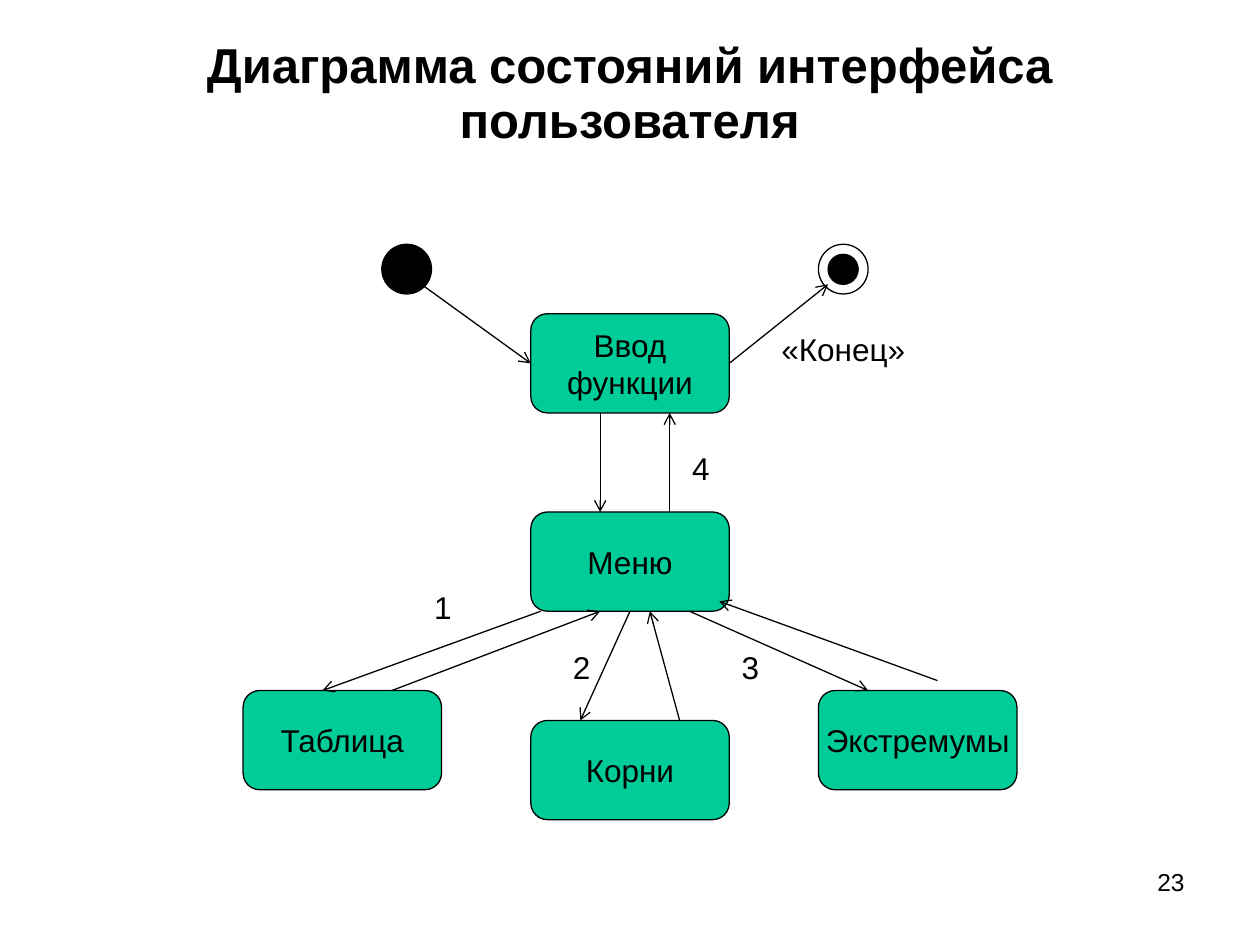
"""Build the state diagram slide of a user interface."""
from pptx import Presentation
from pptx.dml.color import RGBColor
from pptx.enum import shapes as kinds, text as txt
from pptx.oxml.ns import qn
from pptx.util import Pt
from lxml import etree

BLACK = RGBColor(0, 0, 0)
GREEN = RGBColor(0x00, 0xCC, 0x99)
LEFT, MID, RIGHT = txt.PP_ALIGN.LEFT, txt.PP_ALIGN.CENTER, txt.PP_ALIGN.RIGHT
ROUND, OVAL = kinds.MSO_SHAPE.ROUNDED_RECTANGLE, kinds.MSO_SHAPE.OVAL
WIDE, HIGH = 113.4, 56.7

TITLE = "Диаграмма состояний интерфейса\vпользователя"
STATES = {
    "input": ("Ввод\nфункции", 303.3, 179.3),
    "menu": ("Меню", 303.3, 292.6),
    "table": ("Таблица", 138.9, 394.6),
    "roots": ("Корни", 303.3, 411.7),
    "peaks": ("Экстремумы", 467.7, 394.6),
}
DOTS = {
    "start": (218.2, 139.6, 28.4, BLACK),
    "ring": (467.7, 139.6, 28.4, None),
    "end": (473.2, 145.3, 17.2, BLACK),
}
ARROWS = [
    ("start", 0.83, 0.83, "input", 0, 0.5),
    ("input", 1, 0.5, "end", 0, 1),
    ("input", 0.35, 1, "menu", 0.35, 0),
    ("menu", 0.7, 0, "input", 0.7, 1),
    ("menu", 0.05, 1, "table", 0.4, 0),
    ("table", 0.75, 0, "menu", 0.35, 1),
    ("menu", 0.5, 1, "roots", 0.25, 0),
    ("roots", 0.75, 0, "menu", 0.6, 1),
    ("menu", 0.8, 1, "peaks", 0.25, 0),
    ("peaks", 0.6, -0.1, "menu", 0.95, 0.9),
]
LABELS = [
    ("1", 241, 332.4, 17.3),
    ("2", 320.3, 366.5, 17.3),
    ("3", 416.7, 366.5, 17.3),
    ("4", 388.4, 252.9, 28.3),
    ("«Конец»", 439.4, 185, 96.4),
]


def write(shape, words, size, align, bold=False, wrap=True):
    frame = shape.text_frame
    frame.text = words
    frame.word_wrap = wrap
    for para in frame.paragraphs:
        para.alignment = align
        for run in para.runs:
            font = run.font
            font.name, font.size, font.bold = "Arial", Pt(size), bold
            font.color.rgb = BLACK
    return frame


def box(slide, words, place, size, align, bold=False):
    shape = slide.shapes.add_textbox(*map(Pt, place))
    return write(shape, words, size, align, bold)


def draw(slide, kind, place, fill):
    shape = slide.shapes.add_shape(kind, *map(Pt, place))
    shape.shadow.inherit = False
    if fill is None:
        shape.fill.background()
    else:
        shape.fill.solid()
        shape.fill.fore_color.rgb = fill
    shape.line.color.rgb = BLACK
    shape.line.width = Pt(0.75)
    return shape


def link(slide, start, end):
    line = slide.shapes.add_connector(
        kinds.MSO_CONNECTOR.STRAIGHT, *map(Pt, start + end))
    line.line.color.rgb = BLACK
    line.line.width = Pt(0.75)
    etree.SubElement(line.line._get_or_add_ln(), qn("a:tailEnd"), type="arrow")
    etree.SubElement(line._element.spPr, qn("a:effectLst"))


def main():
    deck = Presentation()
    deck.slide_width, deck.slide_height = Pt(720), Pt(540)
    slide = deck.slides.add_slide(deck.slide_layouts[6])

    box(slide, "23", (516, 491.8, 168, 37.4), 14, RIGHT)
    head = box(slide, TITLE, (19.6, 20, 680.4, 68.4), 28, MID, True)
    head.vertical_anchor = txt.MSO_ANCHOR.MIDDLE
    head.paragraphs[0].line_spacing = 0.93

    areas = {}
    for name, (words, x, y) in STATES.items():
        areas[name] = (x, y, WIDE, HIGH)
        shape = draw(slide, ROUND, areas[name], GREEN)
        shape.adjustments[0] = 0.167
        frame = write(shape, words, 18, MID, wrap=False)
        frame.vertical_anchor = txt.MSO_ANCHOR.MIDDLE
    for name, (x, y, size, fill) in DOTS.items():
        areas[name] = (x, y, size, size)
        draw(slide, OVAL, areas[name], fill)

    def spot(name, across, down):
        x, y, wide, high = areas[name]
        return x + wide * across, y + high * down

    for arrow in ARROWS:
        link(slide, spot(*arrow[:3]), spot(*arrow[3:]))
    for words, x, y, wide in LABELS:
        box(slide, words, (x, y, wide, 28.9), 18, LEFT)

    deck.save("out.pptx")


if __name__ == "__main__":
    main()
